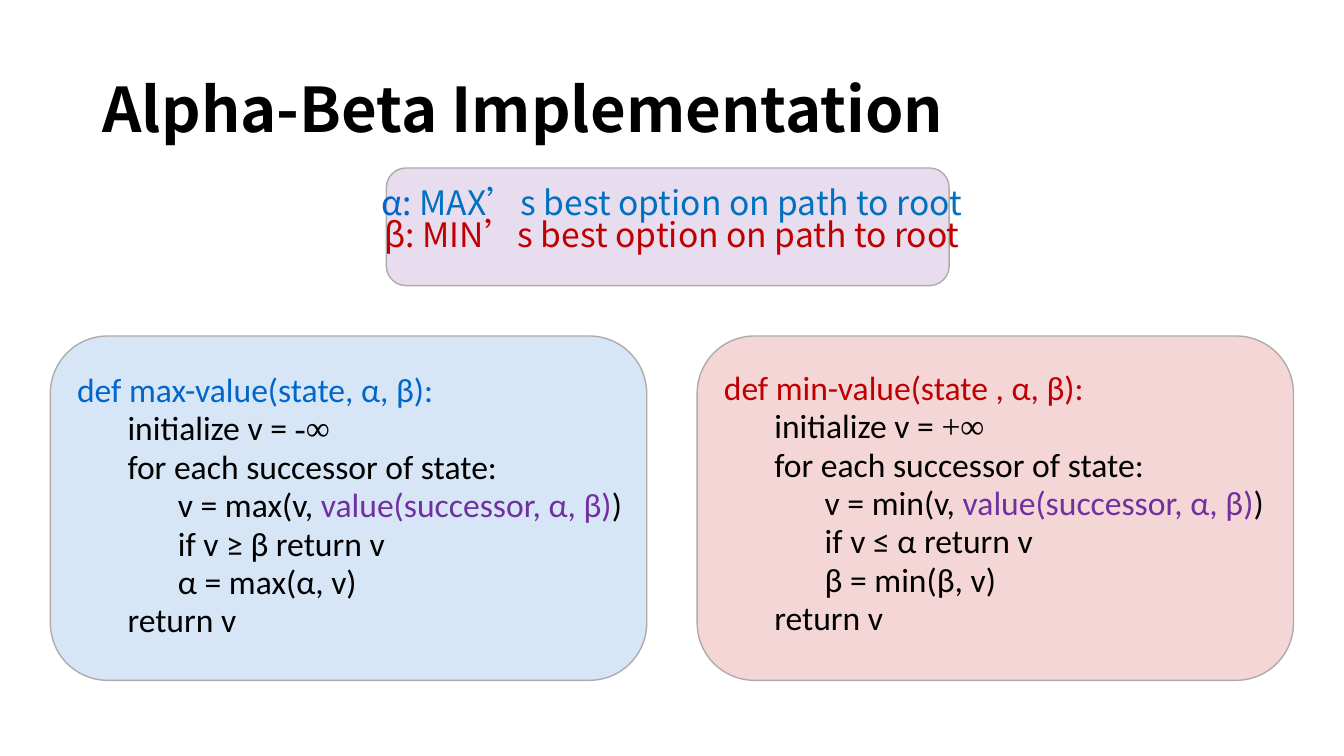
from pptx import Presentation
from pptx.dml.color import RGBColor
from pptx.enum.shapes import MSO_SHAPE
from pptx.enum.text import MSO_ANCHOR, PP_ALIGN
from pptx.oxml.ns import qn
from pptx.util import Pt
from lxml.etree import SubElement

PX = 9525  # EMU in one px, 96 px to the inch
BLACK = RGBColor(0x00, 0x00, 0x00)
BLUE = RGBColor(0x00, 0x66, 0xCC)
AZURE = RGBColor(0x00, 0x70, 0xC0)
RED = RGBColor(0xC0, 0x00, 0x00)
PURPLE = RGBColor(0x70, 0x30, 0xA0)
GRAY = RGBColor(0xAF, 0xAB, 0xAB)
SANS, CODE, MATH = "Noto Sans CJK SC", "Calibri", "Times New Roman"

deck = Presentation()
deck.slide_width, deck.slide_height = 1280 * PX, 720 * PX
slide = deck.slides.add_slide(deck.slide_layouts[5])


def add_panel(left, top, width, height, color):
    panel = slide.shapes.add_shape(
        MSO_SHAPE.ROUNDED_RECTANGLE, left * PX, top * PX, width * PX, height * PX)
    panel.shadow.inherit = False
    panel.fill.solid()
    panel.fill.fore_color.rgb = color
    tint = panel.fill._xPr.find(qn("a:solidFill"))[0]
    SubElement(tint, qn("a:alpha"), val="16000")
    panel.line.color.rgb = GRAY
    panel.line.width = Pt(1)


def add_text(left, top, width, height, lines, gap, align):
    """Each line is (left margin px, hanging px, runs of (text, font, color))."""
    box = slide.shapes.add_textbox(left * PX, top * PX, width * PX, height * PX)
    frame = box.text_frame
    frame.word_wrap = True
    for i, (margin, hang, runs) in enumerate(lines):
        para = frame.add_paragraph() if i else frame.paragraphs[0]
        para.alignment = align
        para.line_spacing = 0.8
        para.space_before = Pt(gap if i else 0)
        props = para._p.get_or_add_pPr()
        props.set("marL", str(margin * PX))
        props.set("indent", str(-hang * PX))
        for text, font, color in runs:
            run = para.add_run()
            run.text = text
            run.font.size = Pt(24)
            run.font.name = font
            run.font.color.rgb = color


# Title
title = slide.shapes.title
title.left, title.top, title.width, title.height = 88 * PX, 38 * PX, 1104 * PX, 139 * PX
title.text_frame.vertical_anchor = MSO_ANCHOR.MIDDLE
head = title.text_frame.paragraphs[0]
head.alignment = PP_ALIGN.LEFT
head.line_spacing = 0.9
run = head.add_run()
run.text = "Alpha-Beta Implementation"
run.font.size = Pt(44)
run.font.name = SANS
run.font.bold = True
run.font.color.rgb = BLACK

# Code panels: panel left, text left, text top, color, then the parts that differ
CODES = [
    (664, 680, 352, RED, "min", "state ", "+∞", "if v ≤ α return v", "β = min(β, v)"),
    (48, 64, 354, BLUE, "max", "state", "-∞", "if v ≥ β return v", "α = max(α, v)"),
]
for left, start, top, color, name, state, bound, test, update in CODES:
    add_panel(left, 320, 568, 328, color)
    lines = [
        (36, 36, [(f"def {name}-value({state}, α, β):", CODE, color)]),
        (78, 30, [("initialize v = ", CODE, BLACK), (bound, MATH, BLACK)]),
        (78, 30, [("for each successor of state:", CODE, BLACK)]),
        (120, 24, [(f"v = {name}(v, ", CODE, BLACK),
                   ("value(successor, α, β)", CODE, PURPLE), (")", CODE, BLACK)]),
        (120, 24, [(test, CODE, BLACK)]),
        (120, 24, [(update, CODE, BLACK)]),
        (78, 30, [("return v", CODE, BLACK)]),
    ]
    add_text(start, top, 564, 240, lines, 4.4, PP_ALIGN.LEFT)

# Legend
add_panel(368, 160, 536, 112, PURPLE)
legend = [
    (72, 24, [("α: ", SANS, BLUE), ("MAX’s best option on path to root", SANS, AZURE)]),
    (72, 24, [("β: MIN’s best option on path to root", SANS, RED)]),
]
add_text(0, 176, 1232, 152, legend, 0, PP_ALIGN.CENTER)

deck.save("out.pptx")
